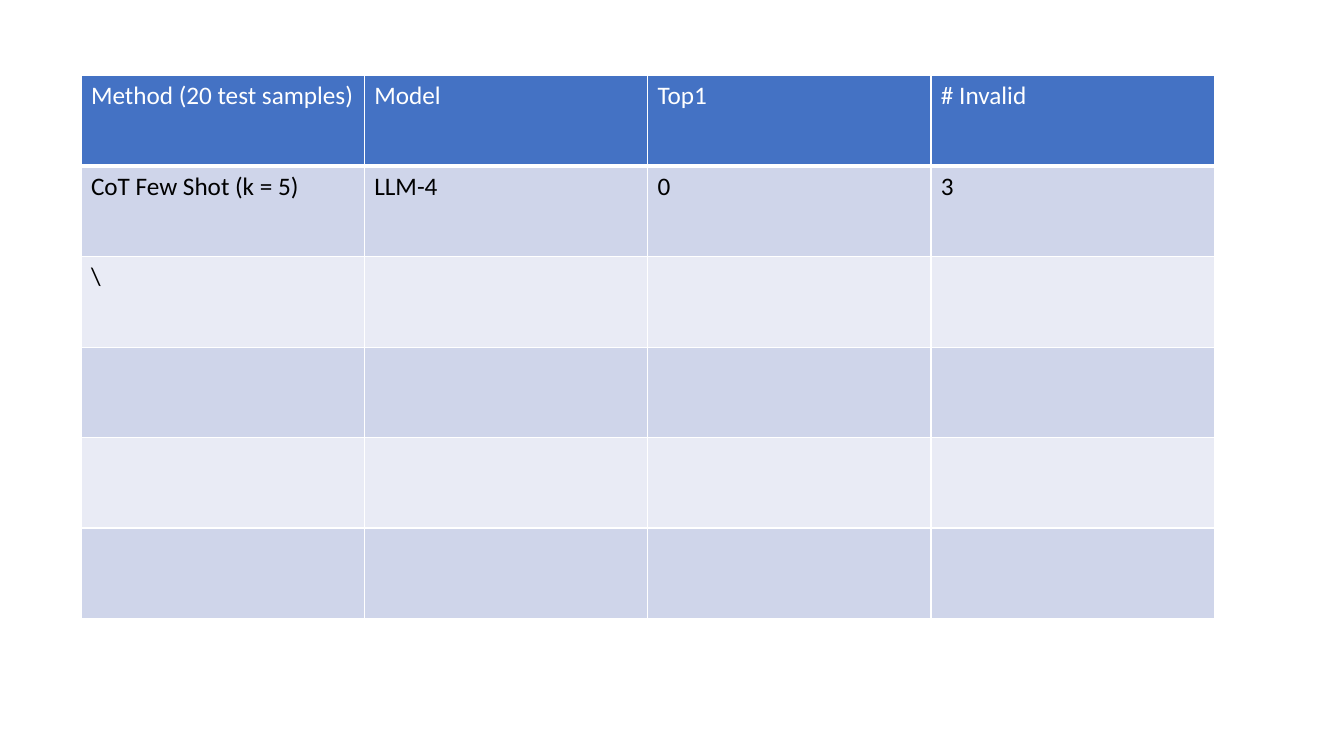
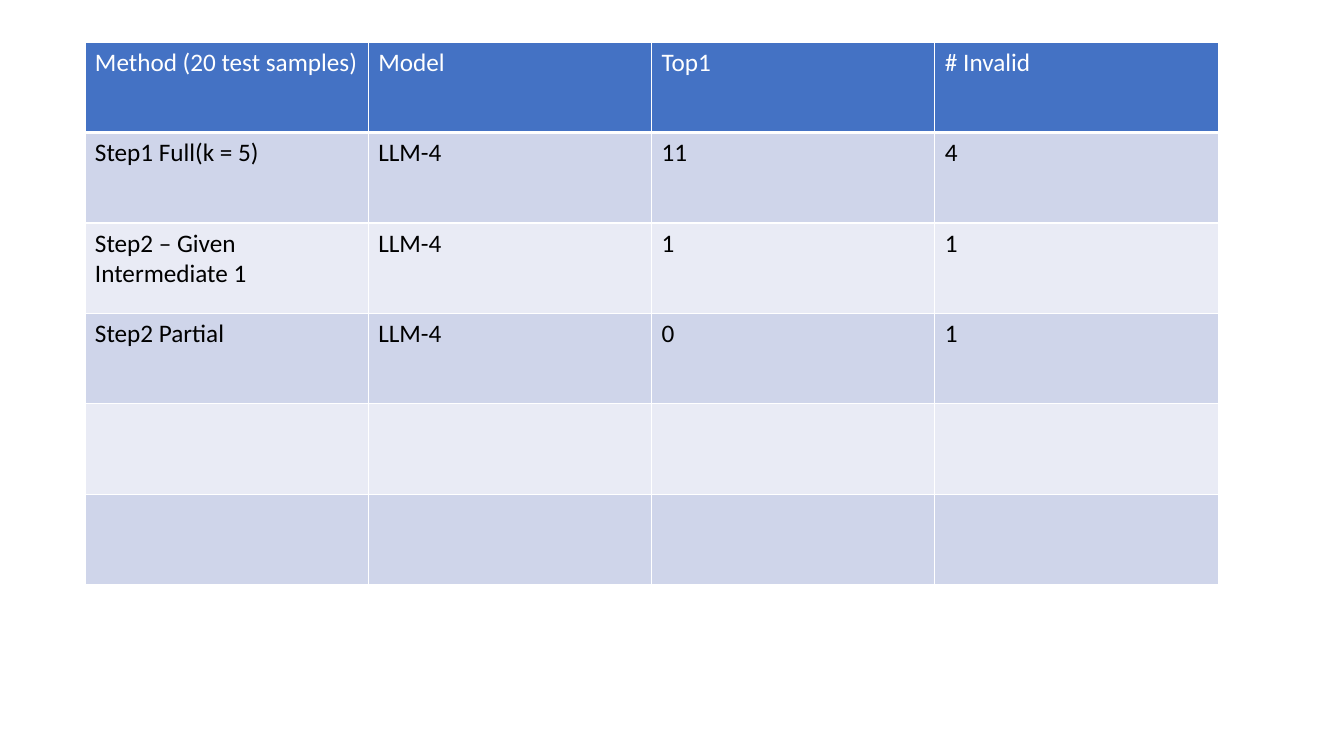
from lxml.etree import SubElement
from pptx import Presentation
from pptx.dml.color import RGBColor
from pptx.oxml.ns import qn
from pptx.util import Cm, Pt

HUES = {"head": "4472C4", "odd": "CFD5EA", "even": "E9EBF5",
        "white": "FFFFFF", "black": "000000"}
FONT = {"name": "Calibri", "size": Pt(18), "bold": False}
HEAD = ["Method (20 test samples)", "Model", "Top1", "# Invalid"]
ROWS = 6
WIDTH, HEIGHT = Cm(7.14), Cm(2.28)

TABLES = [
    (Cm(2.04), Cm(1.91), [
        ["CoT Few Shot (k = 5) ", "LLM-4", "0", "3"],
        ["\\"],
    ]),
    (Cm(2.14), Cm(1.06), [
        ["Step1 Full(k = 5) ", "LLM-4", "11", "4"],
        ["Step2 – Given Intermediate 1", "LLM-4", "1", "1"],
        ["Step2 Partial", "LLM-4", "0", "1"],
    ]),
]


def edge(cell, side, size):
    line = SubElement(cell._tc.get_or_add_tcPr(), qn(f"a:ln{side}"), w=str(Pt(size)))
    fill = SubElement(line, qn("a:solidFill"))
    SubElement(fill, qn("a:srgbClr"), val=HUES["white"])


def style(cell, text, band, ink):
    cell.fill.solid()
    cell.fill.fore_color.rgb = RGBColor.from_string(HUES[band])
    if text:
        run = cell.text_frame.paragraphs[0].add_run()
        run.text = text
        for key, value in FONT.items():
            setattr(run.font, key, value)
        run.font.color.rgb = RGBColor.from_string(HUES[ink])


deck = Presentation()
deck.slide_width, deck.slide_height = Cm(33.87), Cm(19.05)

for left, top, body in TABLES:
    slide = deck.slides.add_slide(deck.slide_layouts[6])
    frame = slide.shapes.add_table(ROWS, len(HEAD), left, top,
                                   WIDTH * len(HEAD), HEIGHT * ROWS)
    table = frame.table
    for col in table.columns:
        col.width = WIDTH
    data = [HEAD] + body
    for r, row in enumerate(table.rows):
        row.height = HEIGHT
        band = "head" if r == 0 else "odd" if r % 2 else "even"
        ink = "black" if r else "white"
        words = data[r] if r < len(data) else []
        for c, cell in enumerate(row.cells):
            for side in "LRTB":
                edge(cell, side, 3 if r == 0 and side == "B" else 1)
            style(cell, words[c] if c < len(words) else "", band, ink)

deck.save("out.pptx")
